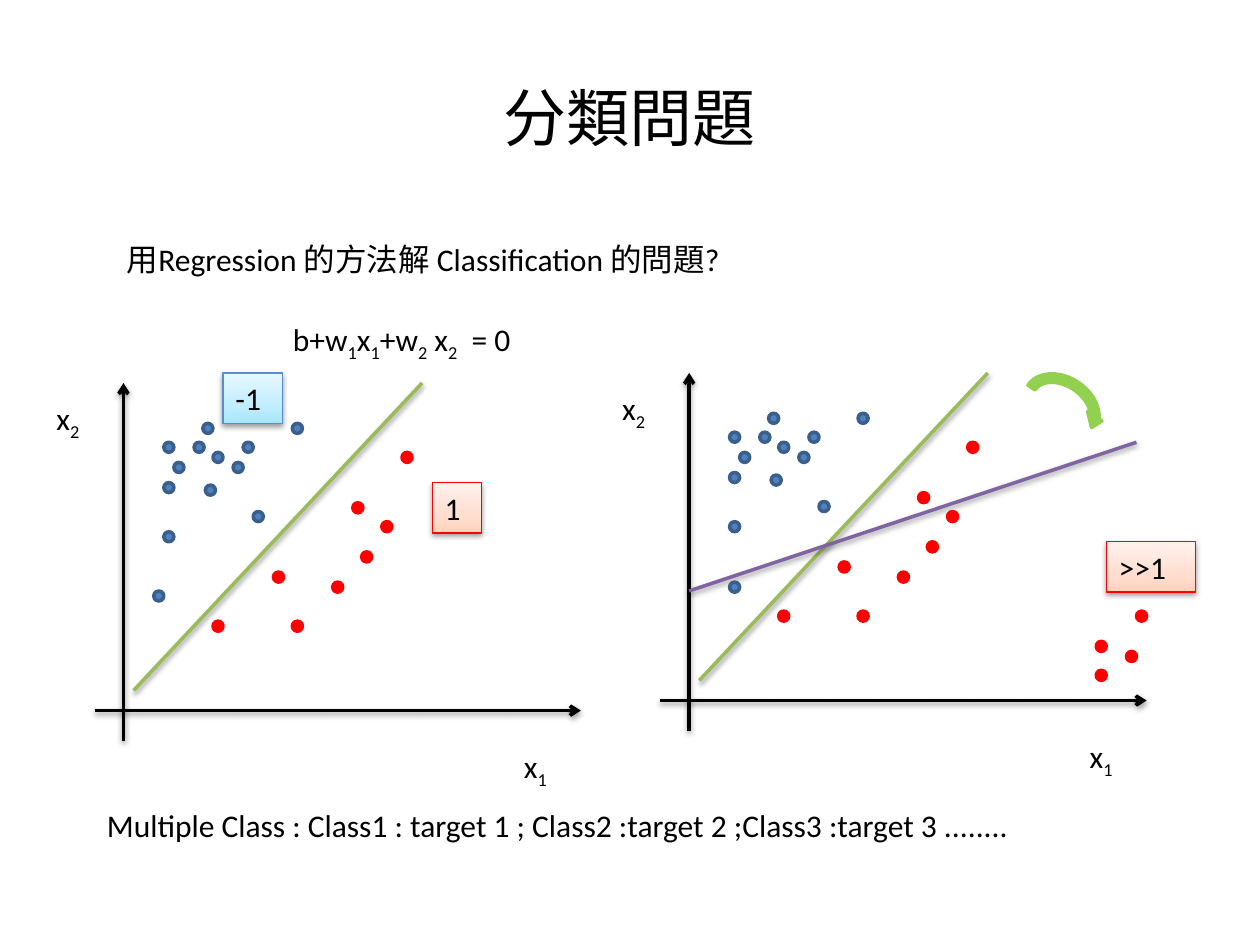
"""Build a slide on solving classification with regression."""
from copy import deepcopy
from lxml.etree import SubElement
from pptx import Presentation
from pptx.dml.color import RGBColor
from pptx.enum.shapes import MSO_CONNECTOR, MSO_SHAPE
from pptx.enum.text import MSO_ANCHOR, MSO_AUTO_SIZE, PP_ALIGN
from pptx.oxml.ns import qn
from pptx.util import Inches, Pt

BLACK = RGBColor(0x00, 0x00, 0x00)
BLUE = RGBColor(0x4F, 0x81, 0xBD)
NAVY = RGBColor(0x3A, 0x5F, 0x8C)
SKY = RGBColor(0x55, 0x8E, 0xD5)
RED = RGBColor(0xFF, 0x00, 0x00)
GREEN = RGBColor(0x9B, 0xBB, 0x59)
LIME = RGBColor(0x92, 0xD0, 0x50)
PURPLE = RGBColor(0x80, 0x64, 0xA2)
PEACH_STOPS = [RGBColor(0xFF, 0xD2, 0xBD), RGBColor(0xFF, 0xDE, 0xD0), RGBColor(0xFF, 0xF2, 0xED)]
SKY_STOPS = [RGBColor(0xA7, 0xE6, 0xFF), RGBColor(0xC1, 0xED, 0xFF), RGBColor(0xE7, 0xF8, 0xFF)]

DOT = 0.08
PANELS = [(0, 0), (4.49, -0.08)]
BLUE_DOTS = [(1.3, 3.51), (1.61, 3.36), (1.38, 3.67), (1.69, 3.59), (1.93, 3.51), (1.85, 3.67),
             (1.3, 4.22), (1.3, 3.83), (1.63, 3.85), (2.32, 3.36), (1.54, 3.51), (2.01, 4.06)]
RED_DOTS = [(3.19, 3.59), (2.8, 3.99), (2.17, 4.54), (3.03, 4.14),
            (2.32, 4.93), (2.87, 4.38), (1.69, 4.93), (2.64, 4.62)]
FAR_DOTS = [(8.94, 5.17), (9.02, 4.85), (8.7, 5.32), (8.7, 5.09)]
LOW_DOTS = [(5.79, 4.62), (1.22, 4.69)]
PANEL_LINES = [(0.75, 5.64, 4.61, 5.64, BLACK), (0.98, 5.88, 0.98, 3.04, BLACK),
               (3.35, 3.04, 1.06, 5.48, GREEN)]
PANEL_LABELS = [("x_1", 4.06, 5.88), ("x_2", 0.35, 3.12)]


def write(sp, text, size=18, align=PP_ALIGN.LEFT, **frame):
    tf = sp.text_frame
    settings = {"word_wrap": True, "vertical_anchor": MSO_ANCHOR.TOP,
                "auto_size": MSO_AUTO_SIZE.SHAPE_TO_FIT_TEXT, **frame}
    for name, value in settings.items():
        setattr(tf, name, value)
    p = tf.paragraphs[0]
    p.alignment = align
    first, *rest = text.split("_")
    parts = [(first, False)]
    for part in rest:
        parts += [(part[0], True), (part[1:], False)]
    for part, lowered in parts:
        if part:
            r = p.add_run()
            r.text = part
            for name, value in {"size": Pt(size), "name": "Calibri"}.items():
                setattr(r.font, name, value)
            r.font.color.rgb = BLACK
            if lowered:
                r.font._element.set("baseline", "-25000")


def add_shadow(sp):
    effects = SubElement(sp._element.spPr, qn("a:effectLst"))
    shadow = SubElement(effects, qn("a:outerShdw"), blurRad="40000", dist="20000",
                        dir="5400000", rotWithShape="0")
    color = SubElement(shadow, qn("a:srgbClr"), val="000000")
    SubElement(color, qn("a:alpha"), val="38000")


prs = Presentation()
prs.slide_width, prs.slide_height = Inches(10), Inches(7.5)
s = prs.slides.add_slide(prs.slide_layouts[6])

title = s.shapes.add_textbox(Inches(0.5), Inches(0.3), Inches(9), Inches(1.25))
write(title, "分類問題", 36, PP_ALIGN.CENTER,
      vertical_anchor=MSO_ANCHOR.MIDDLE, auto_size=MSO_AUTO_SIZE.NONE)

lines, labels = [], []
dots = [(x, y, RED, RED) for x, y in FAR_DOTS] + [(x, y, BLUE, NAVY) for x, y in LOW_DOTS]
for dx, dy in PANELS:
    lines += [(x1 + dx, y1 + dy, x2 + dx, y2 + dy, c) for x1, y1, x2, y2, c in PANEL_LINES]
    labels += [(text, x + dx, y + dy, 0.47) for text, x, y in PANEL_LABELS]
    dots += [(x + dx, y + dy, BLUE, NAVY) for x, y in BLUE_DOTS]
    dots += [(x + dx, y + dy, RED, RED) for x, y in RED_DOTS]
lines.append((5.47, 4.69, 9.02, 3.51, PURPLE))
labels += [
    ("用Regression 的方法解 Classification 的問題?", 0.91, 1.86, 5.04),
    (" b+w_1x_1+w_2 x_2  = 0", 2.17, 2.49, 3.23),
    ("Multiple Class : Class1 : target 1 ; Class2 :target 2 ;Class3 :target 3 ........", 0.75, 6.35, 8.5),
]

for x1, y1, x2, y2, color in lines:
    line = s.shapes.add_connector(MSO_CONNECTOR.STRAIGHT, Inches(x1), Inches(y1), Inches(x2), Inches(y2))
    line.line.color.rgb = color
    line.line.width = Pt(2)
    if color == BLACK:
        SubElement(line.line._get_or_add_ln(), qn("a:tailEnd"), type="arrow")
    add_shadow(line)

for x, y, fill, outline in dots:
    dot = s.shapes.add_shape(MSO_SHAPE.OVAL, Inches(x), Inches(y), Inches(DOT), Inches(DOT))
    dot.shadow.inherit = False
    dot.fill.solid()
    dot.fill.fore_color.rgb = fill
    dot.line.color.rgb = outline
    dot.line.width = Pt(2)

for text, x, y, w in labels:
    write(s.shapes.add_textbox(Inches(x), Inches(y), Inches(w), Inches(0.4)), text)

for text, x, y, w, stops, outline in [
    ("1", 3.43, 3.83, 0.39, PEACH_STOPS, RED),
    ("-1", 1.77, 2.96, 0.47, SKY_STOPS, SKY),
    (">>1", 8.78, 4.3, 0.71, PEACH_STOPS, RED),
]:
    card = s.shapes.add_shape(MSO_SHAPE.RECTANGLE, Inches(x), Inches(y), Inches(w), Inches(0.4))
    card.fill.gradient()
    card.fill.gradient_angle = 90
    stop_list = card._element.spPr.find(".//" + qn("a:gsLst"))
    stop_list.append(deepcopy(stop_list[-1]))
    for stop, position, color in zip(card.fill.gradient_stops, (0, 0.35, 1), stops):
        stop.position = position
        stop.color.rgb = color
    card.line.color.rgb = outline
    card.line.width = Pt(0.75)
    add_shadow(card)
    write(card, text)

turn = s.shapes.add_shape(MSO_SHAPE.CIRCULAR_ARROW, Inches(8.07), Inches(2.96), Inches(0.71), Inches(0.55))
turn.rotation = 33.7
turn.shadow.inherit = False
turn.fill.solid()
turn.fill.fore_color.rgb = LIME
turn.line.color.rgb = LIME
turn.line.width = Pt(2)

prs.save("out.pptx")
